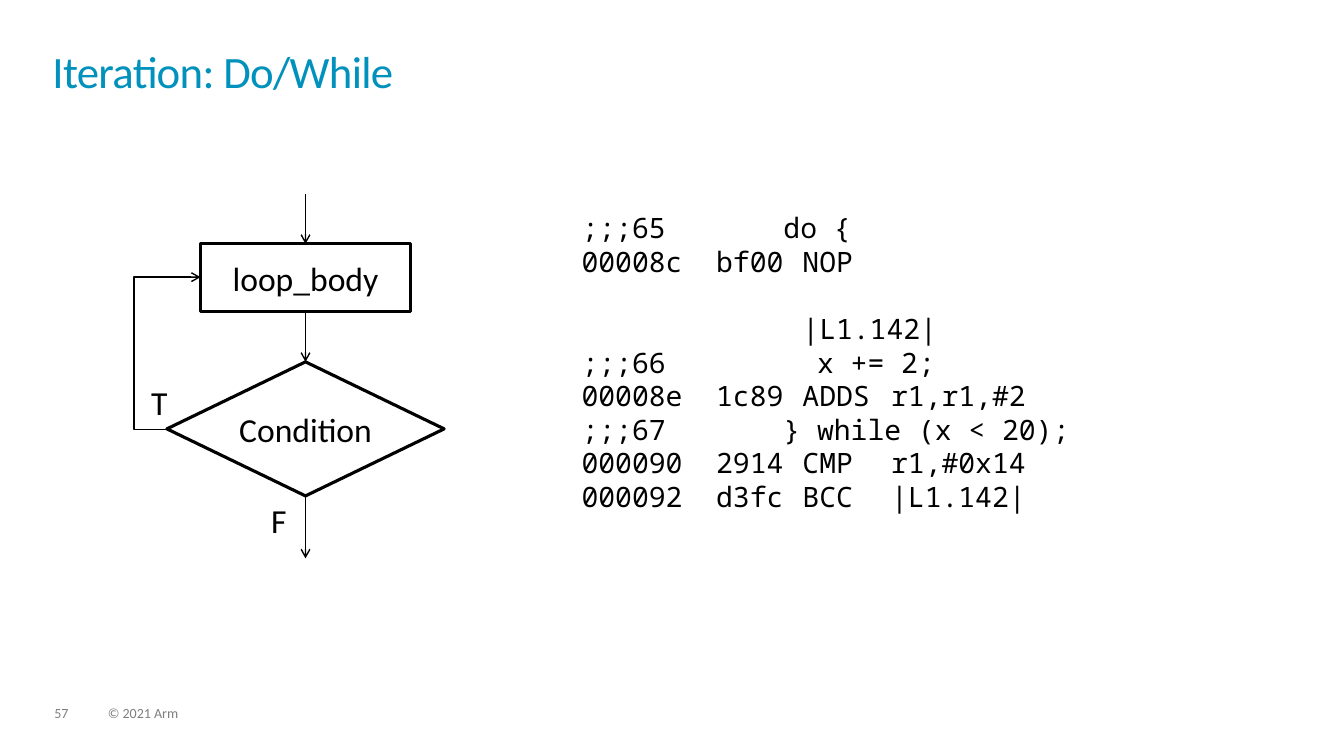
from lxml.etree import SubElement
from pptx import Presentation
from pptx.dml.color import RGBColor
from pptx.enum.shapes import MSO_CONNECTOR, MSO_SHAPE
from pptx.enum.text import MSO_ANCHOR, PP_ALIGN
from pptx.oxml.ns import qn
from pptx.util import Inches, Pt

BLACK = RGBColor(0x00, 0x00, 0x00)
GRAY = RGBColor(0x7F, 0x7F, 0x7F)
BLUE = RGBColor(0x00, 0x91, 0xBD)
CENTER_X = 3.03


def write(shape, text, size, color=BLACK, **paragraph_format):
    frame = shape.text_frame
    frame_format = {"margin_left": 0, "margin_top": 0, "margin_right": 0, "margin_bottom": 0}
    for name, value in frame_format.items():
        setattr(frame, name, value)
    paragraph = frame.paragraphs[0]
    for name, value in paragraph_format.items():
        setattr(paragraph, name, value)
    run = paragraph.add_run()
    run.text = text
    run.font.name = "Calibri"
    run.font.size = Pt(size)
    run.font.color.rgb = color
    return run


def add_arrow(kind, start_x, start_y, end_x, end_y):
    points = [Inches(value) for value in (start_x, start_y, end_x, end_y)]
    connector = slide.shapes.add_connector(kind, *points)
    connector.line.color.rgb = BLACK
    connector.line.width = Pt(1)
    SubElement(connector.line._get_or_add_ln(), qn("a:tailEnd"), type="arrow")
    SubElement(connector._element.spPr, qn("a:effectLst"))
    return connector


presentation = Presentation()
presentation.slide_width = Inches(13.33)
presentation.slide_height = Inches(7.5)
slide = presentation.slides.add_slide(presentation.slide_layouts[5])

title = slide.shapes.title
title_format = {"left": 0.52, "top": 0.52, "width": 12.28, "height": 0.72}
for name, value in title_format.items():
    setattr(title, name, Inches(value))
title.text_frame.vertical_anchor = MSO_ANCHOR.TOP
title_run = write(title, "Iteration: Do/While", 32, BLUE,
                  alignment=PP_ALIGN.LEFT, line_spacing=0.85)
title_run.font._element.set("spc", "-50")

for text, left, width in [("57", 0.54, 0.34), ("© 2021 Arm", 1.07, 5.07)]:
    footer = slide.shapes.add_textbox(Inches(left), Inches(7.01), Inches(width), Inches(0.15))
    footer.text_frame.word_wrap = True
    write(footer, text, 10, GRAY, line_spacing=0.9)

code_lines = [
    ";;;65       do {",
    "00008c  bf00\tNOP",
    "\t|L1.142|",
    ";;;66         x += 2;",
    "00008e  1c89\tADDS\tr1,r1,#2",
    ";;;67       } while (x < 20);",
    "000090  2914\tCMP\tr1,#0x14",
    "000092  d3fc\tBCC\t|L1.142|",
]
code_box = slide.shapes.add_textbox(Inches(5.67), Inches(2.04), Inches(5.25), Inches(3.13))
code_frame = code_box.text_frame
code_frame.word_wrap = True
for index, code_line in enumerate(code_lines):
    paragraph = code_frame.add_paragraph() if index else code_frame.paragraphs[0]
    tab_list = SubElement(paragraph._p.get_or_add_pPr(), qn("a:tabLst"))
    for position in (2.19, 3.07):
        SubElement(tab_list, qn("a:tab"), pos=str(Inches(position)), algn="l")
    if code_line.startswith("\t"):
        paragraph.space_before = Pt(24)
    run = paragraph.add_run()
    run.text = code_line
    run.font.name = "Noto Sans Mono"
    run.font.size = Pt(20)
    run.font.color.rgb = BLACK

flow_nodes = [
    (MSO_SHAPE.DIAMOND, "Condition", 3.59, 2.75, 1.33),
    (MSO_SHAPE.RECTANGLE, "loop_body", 2.42, 2.08, 0.67),
]
for kind, text, top, width, height in flow_nodes:
    node = slide.shapes.add_shape(kind, Inches(CENTER_X - width / 2), Inches(top),
                                  Inches(width), Inches(height))
    node.shadow.inherit = False
    node.fill.background()
    node.line.color.rgb = BLACK
    node.line.width = Pt(2.25)
    node.text_frame.word_wrap = False
    node.text_frame.vertical_anchor = MSO_ANCHOR.MIDDLE
    write(node, text, 24, alignment=PP_ALIGN.CENTER)

for text, left, top in [("T", 1.5, 3.79), ("F", 2.69, 4.96)]:
    label = slide.shapes.add_textbox(Inches(left), Inches(top), Inches(0.31), Inches(0.42))
    label.text_frame.word_wrap = False
    write(label, text, 24)

for start_y, end_y in [(1.92, 2.42), (3.09, 3.59), (4.92, 5.54)]:
    add_arrow(MSO_CONNECTOR.STRAIGHT, CENTER_X, start_y, CENTER_X, end_y)

loop_back = add_arrow(MSO_CONNECTOR.ELBOW, 1.66, 4.26, 1.99, 2.75)
adjustments = loop_back._element.spPr.find(qn("a:prstGeom")).find(qn("a:avLst"))
SubElement(adjustments, qn("a:gd"), name="adj1", fmla="val -100000")

presentation.save("out.pptx")
